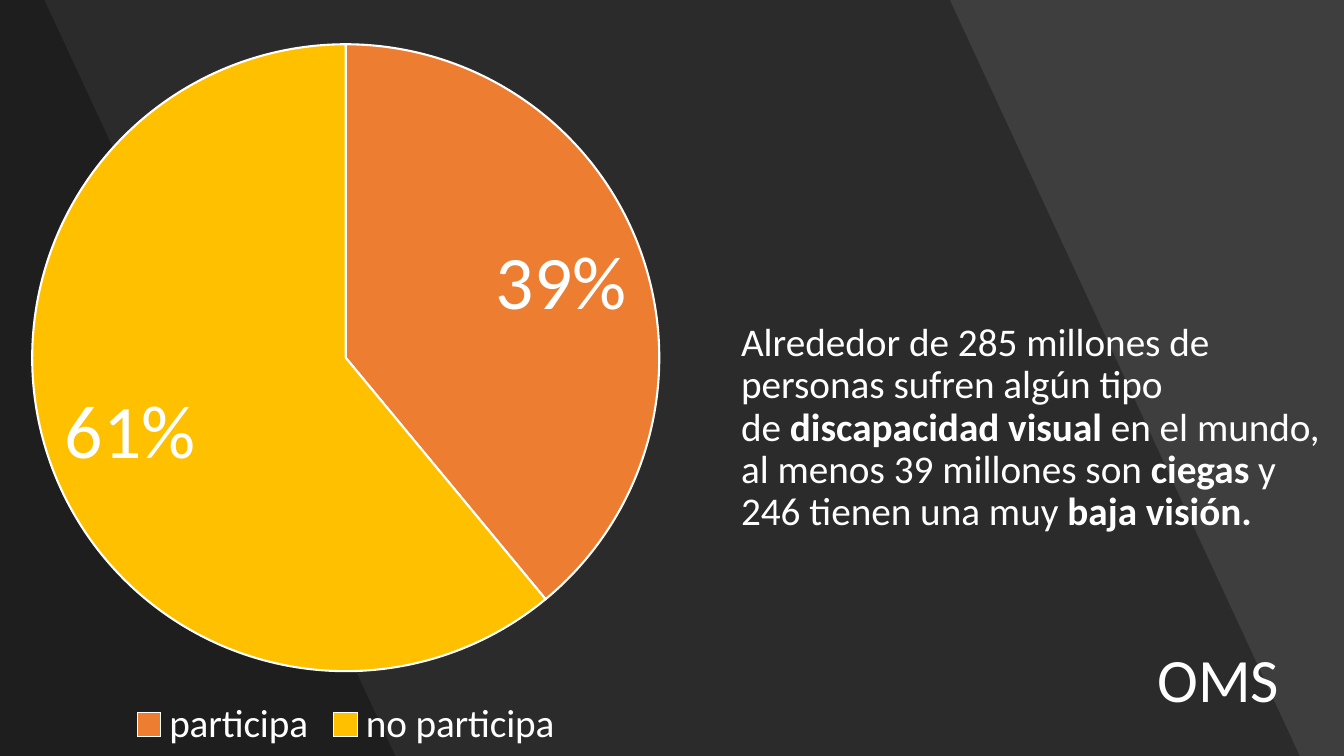
import pptx
import pptx.util
import pptx.dml.color
import pptx.chart.data
import pptx.enum.chart
import pptx.enum.shapes
import pptx.enum.text
import pptx.oxml
import pptx.oxml.ns
from dataclasses import dataclass
from lxml import etree

Inches = pptx.util.Inches
Pt = pptx.util.Pt


@dataclass(frozen=True)
class Theme:
    font: str = "Calibri"
    backdrop: str = "454545"
    shade: str = "000000"
    text: str = "FFFFFF"
    title_size: int = 44
    body_size: int = 28
    legend_size: int = 28
    label_size: int = 54


THEME = Theme()
SLIDE_SIZE = (13.33, 7.5)
HARD_SPACE = chr(160)
SOURCE = "OMS"
STATEMENT = [
    (f"Alrededor de 285 millones de personas sufren algún tipo de{HARD_SPACE}", False),
    ("discapacidad visual ", True),
    (f"en el mundo, al menos 39 millones son{HARD_SPACE}", False),
    ("ciegas", True),
    (f"{HARD_SPACE}y 246 tienen una muy{HARD_SPACE}", False),
    ("baja visión.", True),
]
PARTICIPATION = [("participa", 0.39, "ED7D31"), ("no participa", 0.61, "FFC000")]
VEIL_ALPHA = 9
BAND_ALPHA = 30
BAND_EDGES = [(9.42, 12.89), (0.44, 3.92)]
SOURCE_BOX = (11.38, 6.05, 3.92, 1.45)
STATEMENT_BOX = (7.25, 3.15, 6.08, 2.63)
CHART_BOX = (-1.74, 0.31, 10.34, 7.19)
PIE_BOX = (0.32, 0.44, 6.22, 6.22)


def rgb(value):
    return pptx.dml.color.RGBColor.from_string(value)


def style_font(font, size, bold=False):
    font.name = THEME.font
    font.size = Pt(size)
    font.bold = bold
    font.color.rgb = rgb(THEME.text)


def shade(shape, alpha):
    shape.shadow.inherit = False
    shape.line.fill.background()
    shape.fill.solid()
    shape.fill.fore_color.rgb = rgb(THEME.shade)
    color = shape.element.spPr.find(".//" + pptx.oxml.ns.qn("a:srgbClr"))
    etree.SubElement(color, pptx.oxml.ns.qn("a:alpha"), val=str(alpha * 1000))


def add_backdrop(slide):
    slide.background.fill.solid()
    slide.background.fill.fore_color.rgb = rgb(THEME.backdrop)
    width, height = map(Inches, SLIDE_SIZE)
    veil = slide.shapes.add_shape(
        pptx.enum.shapes.MSO_SHAPE.RECTANGLE, 0, 0, width, height)
    shade(veil, VEIL_ALPHA)
    layers = [veil]
    for top_edge, bottom_edge in BAND_EDGES:
        outline = slide.shapes.build_freeform(0, 0)
        outline.add_line_segments(
            [(Inches(top_edge), 0), (Inches(bottom_edge), height), (0, height)])
        band = outline.convert_to_shape()
        shade(band, BAND_ALPHA)
        layers.append(band)
    for order, layer in enumerate(layers, start=2):
        slide.shapes.element.insert(order, layer.element)


def fill_placeholder(placeholder, box, runs, size, anchor):
    placeholder.left, placeholder.top, placeholder.width, placeholder.height = map(Inches, box)
    frame = placeholder.text_frame
    frame.word_wrap = True
    frame.auto_size = pptx.enum.text.MSO_AUTO_SIZE.NONE
    frame.vertical_anchor = anchor
    paragraph = frame.paragraphs[0]
    paragraph.alignment = pptx.enum.text.PP_ALIGN.LEFT
    paragraph.line_spacing = 0.9
    for words, bold in runs:
        run = paragraph.add_run()
        run.text = words
        style_font(run.font, size, bold)
    return paragraph


def add_participation(slide):
    data = pptx.chart.data.CategoryChartData(number_format="0%")
    data.categories = [name for name, _, _ in PARTICIPATION]
    data.add_series("Series 1", [share for _, share, _ in PARTICIPATION])
    chart = slide.shapes.add_chart(
        pptx.enum.chart.XL_CHART_TYPE.PIE, *map(Inches, CHART_BOX), data).chart
    chart.has_title = False
    style_font(chart.font, 10)
    chart.has_legend = True
    chart.legend.position = pptx.enum.chart.XL_LEGEND_POSITION.BOTTOM
    chart.legend.include_in_layout = False
    style_font(chart.legend.font, THEME.legend_size)

    pie = chart.plots[0]
    pie.vary_by_categories = True
    for index, (_, _, color) in enumerate(PARTICIPATION):
        wedge = pie.series[0].points[index].format
        wedge.fill.solid()
        wedge.fill.fore_color.rgb = rgb(color)
        wedge.line.color.rgb = rgb(THEME.text)
        wedge.line.width = Pt(1.5)
    labels = pie.series[0].data_labels
    labels.show_value = True
    labels.show_percentage = False
    labels.number_format = "0%"
    labels.number_format_is_linked = False
    labels.position = pptx.enum.chart.XL_LABEL_POSITION.BEST_FIT
    style_font(labels.font, THEME.label_size)

    plot_area = chart.element.find(".//" + pptx.oxml.ns.qn("c:plotArea"))
    for automatic in plot_area.findall(pptx.oxml.ns.qn("c:layout")):
        plot_area.remove(automatic)
    layout = etree.Element(pptx.oxml.ns.qn("c:layout"))
    manual = etree.SubElement(layout, pptx.oxml.ns.qn("c:manualLayout"))
    left, top, width, height = CHART_BOX
    pie_left, pie_top, pie_width, pie_height = PIE_BOX
    settings = [
        ("layoutTarget", "inner"), ("xMode", "edge"), ("yMode", "edge"),
        ("x", (pie_left - left) / width), ("y", (pie_top - top) / height),
        ("w", pie_width / width), ("h", pie_height / height),
    ]
    for tag, value in settings:
        etree.SubElement(manual, pptx.oxml.ns.qn("c:" + tag), val=str(value))
    plot_area.insert(0, layout)


def main():
    deck = pptx.Presentation()
    deck.slide_width, deck.slide_height = map(Inches, SLIDE_SIZE)
    slide = deck.slides.add_slide(deck.slide_layouts[1])
    add_backdrop(slide)
    anchors = pptx.enum.text.MSO_ANCHOR
    fill_placeholder(slide.shapes.title, SOURCE_BOX, [(SOURCE, False)],
                     THEME.title_size, anchors.MIDDLE)
    statement = fill_placeholder(slide.placeholders[1], STATEMENT_BOX, STATEMENT,
                                 THEME.body_size, anchors.TOP)
    statement.space_before = Pt(10)
    properties = statement._p.get_or_add_pPr()
    properties.set("marL", "0")
    properties.set("indent", "0")
    etree.SubElement(properties, pptx.oxml.ns.qn("a:buNone"))
    add_participation(slide)
    deck.save("out.pptx")


if __name__ == "__main__":
    main()
